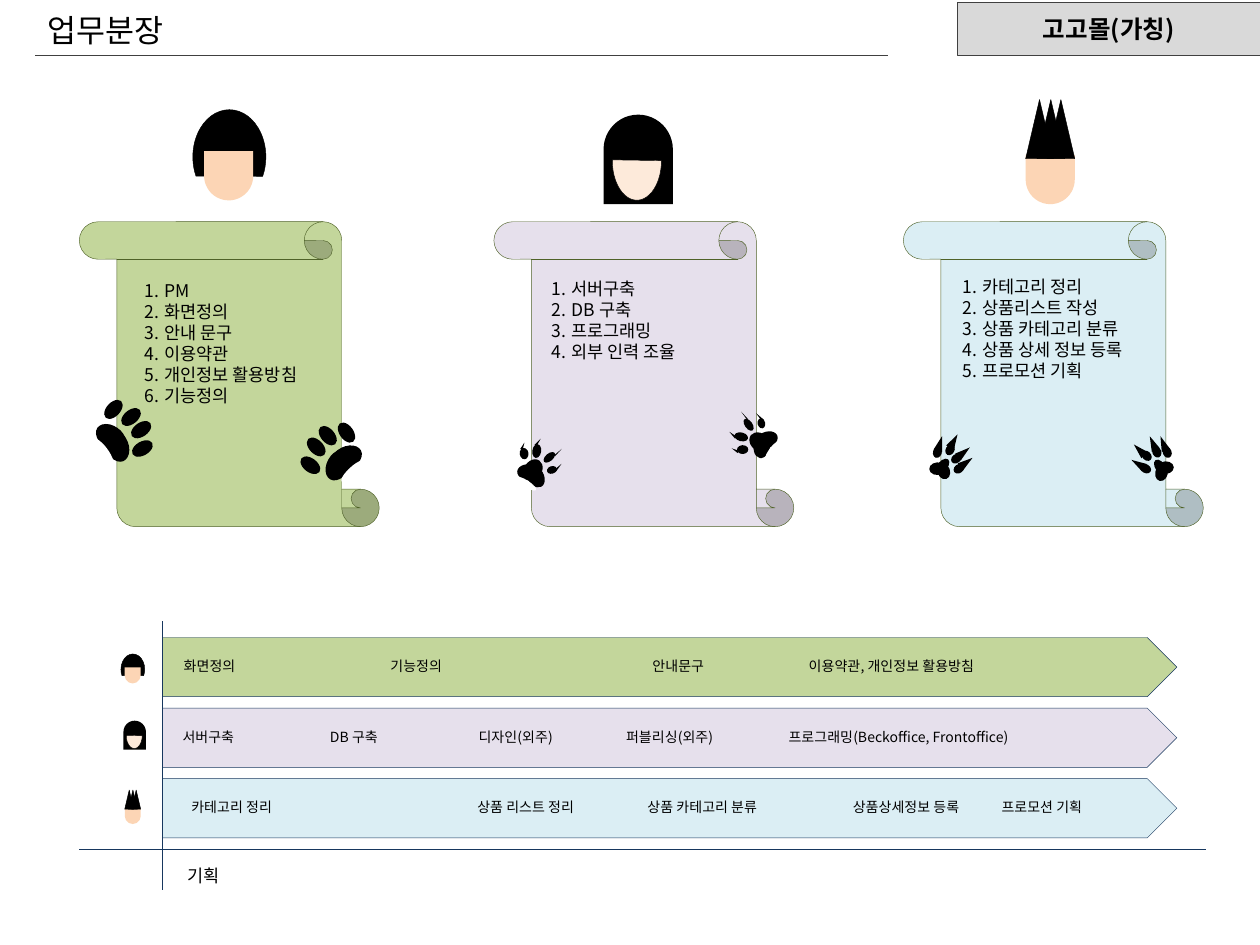
from dataclasses import dataclass
from math import cos, radians, sin

from lxml.etree import SubElement
from pptx import Presentation
from pptx.dml.color import RGBColor
from pptx.enum.shapes import MSO_CONNECTOR, MSO_SHAPE as SHAPE
from pptx.enum.text import MSO_ANCHOR, MSO_AUTO_SIZE, PP_ALIGN
from pptx.oxml.ns import qn
from pptx.util import Inches, Pt


@dataclass(frozen=True)
class Theme:
    font: str = "Noto Sans CJK KR"
    ink: str = "000000"
    white: str = "FFFFFF"
    gray: str = "D9D9D9"
    rule: str = "404040"
    navy: str = "17375E"
    olive: str = "4F6228"
    skin: str = "FCD5B5"
    pale_skin: str = "FDEADA"
    green: str = "C3D69B"
    lilac: str = "E6E0EC"
    sky: str = "DBEEF4"
    title: int = 18
    badge: int = 14
    body: int = 10
    label: int = 8
    hairline: float = 0.25
    line: float = 0.75


THEME = Theme()

# Head parts: shape, box relative to the head, rotation, adjustments, fill, outline
BOB_HEAD = [
    (SHAPE.CHORD, (0, 0, 0.58, 0.75), 180, (198.11, 126.12), THEME.ink, THEME.ink),
    (SHAPE.ROUND_2_SAME_RECTANGLE, (0.09, 0.33, 0.39, 0.39), 180, (0.5, 0), THEME.skin, None),
]
LONG_HAIR_HEAD = [
    (SHAPE.ROUND_2_SAME_RECTANGLE, (0, 0, 0.55, 0.71), 0, (0.5, 0), THEME.ink, None),
    (SHAPE.CHORD, (0.07, 0.05, 0.39, 0.63), 0, (0.05, 108.95), THEME.pale_skin, THEME.ink),
]
SPIKY_HEAD = [
    (SHAPE.ROUND_2_SAME_RECTANGLE, (0, 0.44, 0.39, 0.39), 180, (0.5, 0), THEME.skin, None),
    *[(SHAPE.ISOSCELES_TRIANGLE, (left, 0, 0.22, 0.47), 0, (), THEME.ink, THEME.ink)
      for left in (0, 0.09, 0.17)],
]
SMALL_HEAD = 0.325

# Paw parts: shape, centre offset from the pivot, size, rotation, fill
OVAL, CLAW = SHAPE.OVAL, SHAPE.ISOSCELES_TRIANGLE
ROUND_PAW = [
    (OVAL, (0.22, -0.27), (0.11, 0.18), 50.9, THEME.ink),
    (OVAL, (0.3, -0.17), (0.11, 0.18), 54.9, THEME.ink),
    (OVAL, (0.31, -0.02), (0.11, 0.18), 59.9, THEME.ink),
    (OVAL, (0.08, -0.33), (0.11, 0.18), 42.9, THEME.ink),
    (OVAL, (0.06, -0.11), (0.26, 0.18), 34.5, THEME.ink),
    (OVAL, (0.11, -0.04), (0.26, 0.18), 68.9, THEME.ink),
    (OVAL, (0, 0), (0.24, 0.07), 52.9, THEME.white),
]
THIN_CLAW_PAW = [
    (OVAL, (-0.03, 0.02), (0.19, 0.13), 5.7, THEME.ink),
    (OVAL, (0.02, 0.05), (0.19, 0.13), 60.7, THEME.ink),
    (OVAL, (-0.05, 0.11), (0.18, 0.05), 33.9, THEME.white),
    (OVAL, (0, 0), (0.14, 0.18), 33.9, THEME.ink),
    (OVAL, (0.15, 0), (0.06, 0.08), 71.7, THEME.ink),
    (CLAW, (0.2, -0.02), (0.02, 0.08), 42.9, THEME.ink),
    (OVAL, (-0.07, -0.13), (0.07, 0.09), 353.7, THEME.ink),
    (CLAW, (-0.08, -0.19), (0.02, 0.06), 23.9, THEME.ink),
    (OVAL, (0.03, -0.15), (0.07, 0.11), 8.7, THEME.ink),
    (CLAW, (0.04, -0.22), (0.02, 0.07), 36.9, THEME.ink),
    (OVAL, (0.13, -0.1), (0.06, 0.11), 49.4, THEME.ink),
    (CLAW, (0.2, -0.14), (0.01, 0.08), 45.9, THEME.ink),
]
WIDE_CLAW_PAW = [
    *[(kind, offset, size, angle, THEME.ink)
      for angle, tip, toe in [(29.5, (0.09, -0.2), (0.06, -0.13)),
                              (50.9, (0.17, -0.11), (0.11, -0.06)),
                              (53.3, (0.19, -0.03), (0.13, 0.02)),
                              (16, (-0.02, -0.18), (-0.04, -0.11))]
      for kind, offset, size in [(CLAW, tip, (0.07, 0.12)), (OVAL, toe, (0.07, 0.09))]],
    (OVAL, (0, 0), (0.08, 0.14), 40, THEME.ink),
    (OVAL, (-0.04, 0.02), (0.1, 0.13), 86.5, THEME.ink),
    (OVAL, (0.01, 0.04), (0.1, 0.13), 341.1, THEME.ink),
]

# One entry per team member; paws are (pivot x, pivot y, turn in degrees)
MEMBERS = [
    dict(color=THEME.green, head=BOB_HEAD, head_at=(1.53, 0.87), icon_at=(0.96, 5.19),
         scroll_left=0.63, list_box=(1.05, 2.17, 1.53, 1.28),
         duties=["PM", "화면정의", "안내 문구", "이용약관", "개인정보 활용방침", "기능정의"],
         paw=ROUND_PAW, paws=[(0.82, 3.58, 0), (2.8, 3.74, -95.6)],
         stages=[(1.36, 0.65, "화면정의"), (3, 0.65, "기능정의"), (5.08, 0.65, "안내문구"),
                 (6.32, 1.65, "이용약관, 개인정보 활용방침")]),
    dict(color=THEME.lilac, head=LONG_HAIR_HEAD, head_at=(4.79, 0.91), icon_at=(0.98, 5.72),
         scroll_left=3.92, list_box=(4.28, 2.16, 1.3, 0.77),
         duties=["서버구축", "DB 구축", "프로그래밍", "외부 인력 조율"],
         paw=THIN_CLAW_PAW, paws=[(4.23, 3.73, 0), (6.03, 3.51, -84.9)],
         stages=[(1.35, 0.65, "서버구축"), (2.52, 0.61, "DB 구축"),
                 (3.7, 0.83, "디자인(외주)", True), (4.87, 0.98, "퍼블리싱(외주)"),
                 (6.16, 1.95, "프로그래밍(Beckoffice, Frontoffice)", True)]),
    dict(color=THEME.sky, head=SPIKY_HEAD, head_at=(8.14, 0.79), icon_at=(0.99, 6.27),
         scroll_left=7.17, list_box=(7.54, 2.14, 1.63, 1.11),
         duties=["카테고리 정리", "상품리스트 작성", "상품 카테고리 분류", "상품 상세 정보 등록",
                 "프로모션 기획"],
         paw=WIDE_CLAW_PAW, paws=[(7.48, 3.7, 0), (9.21, 3.71, -74.5)],
         stages=[(1.42, 0.92, "카테고리 정리"), (3.69, 1.07, "상품 리스트 정리"),
                 (5.04, 1.18, "상품 카테고리 분류"), (6.67, 1.14, "상품상세정보 등록"),
                 (7.85, 0.92, "프로모션 기획")]),
]
ROW_TOP, ROW_STEP = 5.06, 0.56


def add_shape(shapes, kind, box, fill, outline=None, rotation=0, adjustments=()):
    shape = shapes.add_shape(kind, *map(Inches, box))
    shape.shadow.inherit = False
    shape.rotation = rotation % 360
    for index, value in enumerate(adjustments):
        shape.adjustments[index] = value
    shape.fill.solid()
    shape.fill.fore_color.rgb = RGBColor.from_string(fill)
    if outline:
        shape.line.color.rgb = RGBColor.from_string(outline)
        shape.line.width = Pt(THEME.hairline)
    else:
        shape.line.fill.background()
    return shape


def add_line(slide, start, end, color):
    line = slide.shapes.add_connector(MSO_CONNECTOR.STRAIGHT, *map(Inches, start + end))
    line.line.color.rgb = RGBColor.from_string(color)
    line.line.width = Pt(THEME.line)
    SubElement(line._element.spPr, qn("a:effectLst"))


def write_run(paragraph, text, size, bold=False):
    run = paragraph.add_run()
    run.text = text
    formats = {"name": THEME.font, "size": Pt(size), "bold": bold}
    for name, value in formats.items():
        setattr(run.font, name, value)
    run.font.color.rgb = RGBColor.from_string(THEME.ink)
    SubElement(run._r.get_or_add_rPr(), qn("a:ea"), typeface=THEME.font)


def add_text(slide, box, lines, size, wrap=False, numbered=False):
    frame = slide.shapes.add_textbox(*map(Inches, box)).text_frame
    frame.word_wrap = wrap
    frame.auto_size = MSO_AUTO_SIZE.SHAPE_TO_FIT_TEXT
    for index, text in enumerate(lines):
        paragraph = frame.add_paragraph() if index else frame.paragraphs[0]
        if numbered:
            properties = paragraph._p.get_or_add_pPr()
            indent = Inches(0.16)
            properties.set("marL", str(indent))
            properties.set("indent", str(-indent))
            SubElement(properties, qn("a:buAutoNum"), type="arabicPeriod")
        write_run(paragraph, text, size)


def add_head(slide, parts, at, scale=1.0):
    group = slide.shapes.add_group_shape()
    for kind, (x, y, width, height), rotation, adjustments, fill, outline in parts:
        box = (at[0] + x * scale, at[1] + y * scale, width * scale, height * scale)
        add_shape(group.shapes, kind, box, fill, outline, rotation, adjustments)


def add_paw(slide, parts, pivot_x, pivot_y, turn):
    """Draw a paw with all its parts turned about the pivot."""
    group = slide.shapes.add_group_shape()
    cosine, sine = cos(radians(turn)), sin(radians(turn))
    for kind, (x, y), (width, height), rotation, fill in parts:
        left = pivot_x + x * cosine - y * sine - width / 2
        top = pivot_y + x * sine + y * cosine - height / 2
        add_shape(group.shapes, kind, (left, top, width, height), fill, rotation=rotation + turn)


def add_header(slide):
    badge = add_shape(slide.shapes, SHAPE.RECTANGLE, (7.6, 0.02, 2.4, 0.42), THEME.gray, THEME.rule)
    badge.text_frame.vertical_anchor = MSO_ANCHOR.MIDDLE
    paragraph = badge.text_frame.paragraphs[0]
    paragraph.alignment = PP_ALIGN.CENTER
    write_run(paragraph, "고고몰(가칭)", THEME.badge, bold=True)
    add_line(slide, (0.28, 0.44), (7.05, 0.44), THEME.rule)
    add_text(slide, (0.28, 0.04, 1.21, 0.4), ["업무분장"], THEME.title)


def add_duties(slide, member):
    add_head(slide, member["head"], member["head_at"])
    scroll = add_shape(slide.shapes, SHAPE.VERTICAL_SCROLL, (member["scroll_left"], 1.76, 2.38, 2.42),
                       member["color"], THEME.olive)
    scroll._element.spPr.get_or_add_xfrm().set("flipH", "1")
    add_text(slide, member["list_box"], member["duties"], THEME.body, numbered=True)
    for paw in member["paws"]:
        add_paw(slide, member["paw"], *paw)


def add_schedule_row(slide, member, top):
    add_shape(slide.shapes, SHAPE.RIGHT_ARROW, (1.29, top, 8.05, 0.47), member["color"], THEME.navy,
              adjustments=(1, 0.5))
    add_head(slide, member["head"], member["icon_at"], SMALL_HEAD)
    for left, width, text, *wrap in member["stages"]:
        add_text(slide, (left, top + 0.11, width, 0.24), [text], THEME.label, wrap=bool(wrap))


def main():
    presentation = Presentation()
    presentation.slide_width, presentation.slide_height = Inches(10), Inches(7.5)
    slide = presentation.slides.add_slide(presentation.slide_layouts[6])
    add_header(slide)
    for index, member in enumerate(MEMBERS):
        add_duties(slide, member)
        add_schedule_row(slide, member, ROW_TOP + index * ROW_STEP)
    add_line(slide, (1.29, 4.93), (1.29, 7.06), THEME.navy)
    add_line(slide, (0.63, 6.74), (9.57, 6.74), THEME.navy)
    add_text(slide, (1.39, 6.82, 0.48, 0.27), ["기획"], THEME.body)
    presentation.save("out.pptx")


if __name__ == "__main__":
    main()
